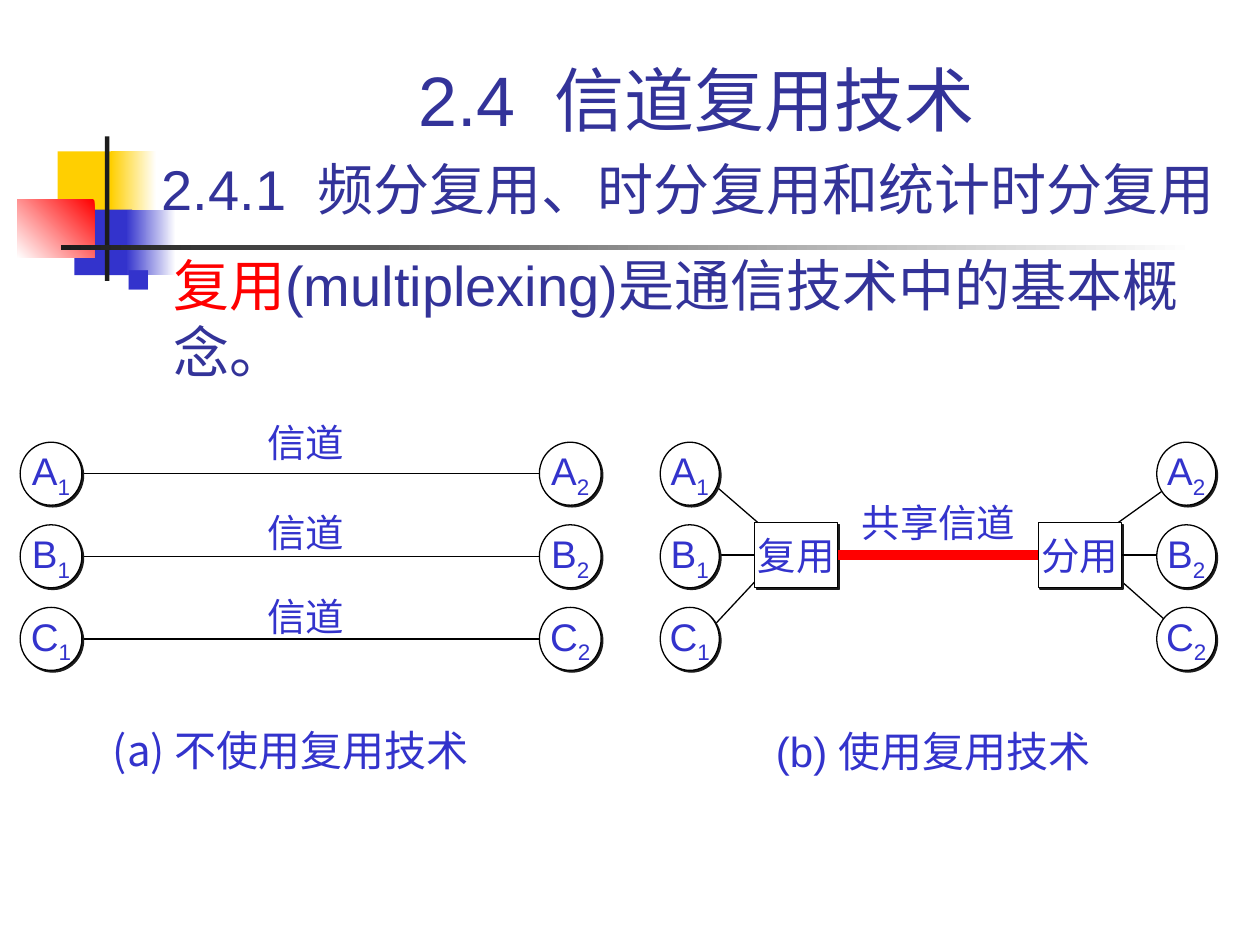
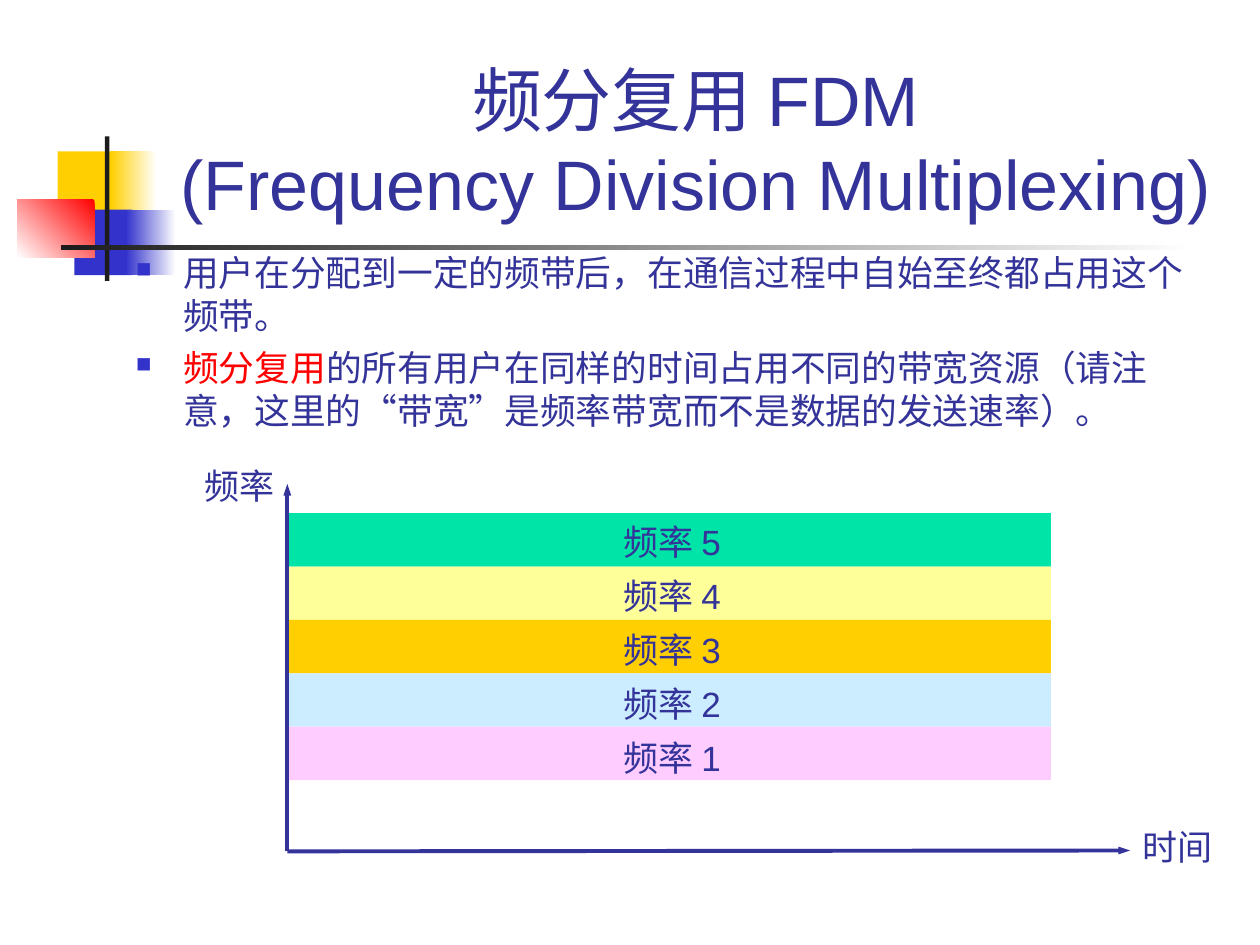
from lxml import etree
from pptx import Presentation
from pptx.dml.color import RGBColor
from pptx.enum.shapes import MSO_CONNECTOR, MSO_SHAPE
from pptx.enum.text import MSO_ANCHOR, MSO_AUTO_SIZE, PP_ALIGN
from pptx.oxml.ns import qn
from pptx.util import Pt

RECT, OVAL = MSO_SHAPE.RECTANGLE, MSO_SHAPE.OVAL
STRAIGHT = MSO_CONNECTOR.STRAIGHT
CENTER = PP_ALIGN.CENTER
MIDDLE, BOTTOM = MSO_ANCHOR.MIDDLE, MSO_ANCHOR.BOTTOM
NO_FIT, GROW = MSO_AUTO_SIZE.NONE, MSO_AUTO_SIZE.SHAPE_TO_FIT_TEXT
LEFT, RIGHT = 1, 3

WHITE = RGBColor(0xFF, 0xFF, 0xFF)
BLACK = RGBColor(0x00, 0x00, 0x00)
DARK = RGBColor(0x1C, 0x1C, 0x1C)
RED = RGBColor(0xFF, 0x00, 0x00)
GOLD = RGBColor(0xFF, 0xCF, 0x01)
BLUE = RGBColor(0x33, 0x33, 0xCC)
NAVY = RGBColor(0x33, 0x33, 0x99)
GREEN = RGBColor(0x00, 0xE4, 0xA8)
YELLOW = RGBColor(0xFF, 0xFF, 0x99)
SKY = RGBColor(0xCC, 0xEC, 0xFF)
PINK = RGBColor(0xFF, 0xCC, 0xFF)

ARIAL, CJK, TIMES = "Arial", "Noto Sans CJK SC", "Times New Roman"
LINE_HEIGHT = 1.2


def pts(*values):
    return [Pt(v) for v in values]


def set_attrs(obj, values):
    for name, value in values.items():
        setattr(obj, name, value)


def sub(parent, tag, **attrs):
    return etree.SubElement(parent, qn(tag), attrs)


def add_run(p, text, size, color, font=ARIAL, **attrs):
    r = p.add_run()
    r.text = text
    set_attrs(r.font, {"size": Pt(size), "name": font})
    r.font.color.rgb = color
    rPr = r._r.get_or_add_rPr()
    sub(rPr, "a:ea", typeface=CJK)
    for name, value in attrs.items():
        rPr.set(name, value)


def add_label(s, left, top, width, height, text, size, color, font=ARIAL, spacing=1):
    tf = s.shapes.add_textbox(*pts(left, top, width, height)).text_frame
    set_attrs(tf, {"word_wrap": False, "auto_size": GROW})
    p = tf.paragraphs[0]
    p.line_spacing = Pt(round(size * LINE_HEIGHT * spacing, 1))
    add_run(p, text, size, color, font)


def add_block(s, shape, box, color, fade_to=None, angle=180):
    sp = s.shapes.add_shape(shape, *pts(*box))
    sp.shadow.inherit = False
    sp.line.fill.background()
    if fade_to is None:
        sp.fill.solid()
        sp.fill.fore_color.rgb = color
    else:
        sp.fill.gradient()
        sp.fill.gradient_angle = angle
        for stop, stop_color in zip(sp.fill.gradient_stops, (color, fade_to)):
            stop.color.rgb = stop_color
    return sp


def add_line(s, start, end, color=BLACK, width=0.75, arrow=False):
    line = s.shapes.add_connector(STRAIGHT, *pts(*start, *end))
    line.line.color.rgb = color
    line.line.width = Pt(width)
    if arrow:
        sub(line.line._get_or_add_ln(), "a:tailEnd", type="triangle", w="sm", len="med")
    sub(line._element.spPr, "a:effectLst")
    return line


def add_node(s, shape, box, text, index=None):
    sp = add_block(s, shape, box, WHITE)
    sp.line.color.rgb = BLACK
    sp.line.width = Pt(0.75)
    effects = sp._element.spPr.find(qn("a:effectLst"))
    shadow = sub(effects, "a:outerShdw", blurRad="0", dist="17780", dir="2700000",
                 algn="ctr", rotWithShape="0")
    sub(shadow, "a:srgbClr", val=str(DARK))
    tf = sp.text_frame
    set_attrs(tf, {"word_wrap": False, "vertical_anchor": MIDDLE})
    p = tf.paragraphs[0]
    p.alignment = CENTER
    add_run(p, text, 22, BLUE)
    if index:
        add_run(p, index, 22, BLUE, baseline="-25000")
    return sp


def add_decoration(s, left, top):
    parts = [
        ((23, 8.5, 34.5, 37.5), GOLD, None, 180),
        ((53.3, 8.5, 26, 37.5), WHITE, GOLD, 180),
        ((32.5, 41.8, 33, 37.5), BLUE, None, 180),
        ((62, 41.8, 28.5, 37.5), WHITE, BLUE, 180),
        ((0, 36, 44, 33.3), RED, WHITE, 225),
        ((50, 0, 2.5, 82.5), DARK, None, 180),
        ((25, 62.3, 648, 2.5), WHITE, DARK, 180),
    ]
    for (x, y, w, h), color, fade_to, angle in parts:
        add_block(s, RECT, (left + x, top + y, w, h), color, fade_to, angle)


def add_title(s, box, lines):
    title = s.shapes.title
    s.shapes.element.append(title.element)
    set_attrs(title, dict(zip(("left", "top", "width", "height"), pts(*box))))
    tf = title.text_frame
    set_attrs(tf, {"word_wrap": True, "auto_size": NO_FIT, "vertical_anchor": BOTTOM})
    p = tf.paragraphs[0]
    set_attrs(p, {"alignment": CENTER, "line_spacing": Pt(40 * LINE_HEIGHT)})
    for i, runs in enumerate(lines):
        if i:
            p.add_line_break()
        for text, size, attrs in runs:
            add_run(p, text, size, NAVY, **attrs)


def add_body(s, box, size, space_before, paragraphs):
    tf = s.shapes.add_textbox(*pts(*box)).text_frame
    tf.word_wrap = True
    for i, runs in enumerate(paragraphs):
        p = tf.add_paragraph() if i else tf.paragraphs[0]
        pPr = p._p.get_or_add_pPr()
        pPr.set("marL", str(Pt(27)))
        pPr.set("indent", str(Pt(-27)))
        pPr.set("hangingPunct", "0")
        sub(sub(pPr, "a:buClr"), "a:srgbClr", val=str(BLUE))
        sub(pPr, "a:buSzPct", val="60000")
        sub(pPr, "a:buChar", char="■")
        set_attrs(p, {"line_spacing": Pt(round(size * LINE_HEIGHT, 1)),
                      "space_before": Pt(space_before if i else 0)})
        for text, color in runs:
            add_run(p, text, size, color)


def add_stations(s, box, node_width):
    left, top, width, height = box
    pitch = (height - 36) / 2
    for side, x in (("1", left), ("2", left + width - node_width)):
        for row, name in enumerate("ABC"):
            add_node(s, OVAL, (x, top + row * pitch, node_width, 36), name, side)


def add_separate_channels(s, box):
    left, top, width, height = box
    pitch = (height - 36) / 2
    for row, rise in enumerate((34.6, 30.7, 29.6)):
        y = top + 18 + row * pitch
        add_line(s, (left + 35, y), (left + width - 35, y))
        add_label(s, left + 134, y - rise, 62, 33.8, "信道", 22, BLUE, CJK)
    add_stations(s, box, 35.3)
    add_label(s, left + 46, top + 157.7, 232, 36, "(a) 不使用复用技术", 24, BLUE, CJK)


def add_shared_channel(s, box):
    left, top, width, height = box
    right, middle = left + width, top + height / 2 - 0.7
    for outer, inner in ((-43.5, -14.5), (44.2, 8.3)):
        add_line(s, (left + 27, middle + outer), (left + 60.5, middle + inner))
        add_line(s, (right - 21, middle + outer), (right - 61.5, middle + inner))
    mux = add_node(s, RECT, (left + 54, middle - 18.4, 47.5, 36.8), "复用")
    demux = add_node(s, RECT, (right - 101.5, middle - 18.4, 47.5, 36.8), "分用")
    add_line(s, (left + 33, middle), (left + 54, middle)).end_connect(mux, LEFT)
    add_line(s, (right - 33, middle), (right - 54, middle)).end_connect(demux, RIGHT)
    link = add_line(s, (left + 101.5, middle), (right - 101.5, middle), RED, 6)
    link.begin_connect(mux, RIGHT)
    link.end_connect(demux, LEFT)
    add_stations(s, box, 33.8)
    add_label(s, left + 108, top + 28.8, 106, 33.8, "共享信道", 22, BLUE)
    add_label(s, left + 59, top + 158.4, 206, 36, "(b) 使用复用技术", 24, BLUE)


def add_frequency_diagram(s, box):
    left, top, width, height = box
    bottom = top + height
    band_height = 30.5
    axis = {"color": NAVY, "width": 2.25, "arrow": True}
    add_line(s, (left, bottom), (left + width, bottom - 0.5), **axis)
    for x, y, text in ((left - 54.7, top - 12.2, "频率"),
                       (left + width, bottom - 16, "时间")):
        add_label(s, x, y, 60, 28.8, text, 20, NAVY, TIMES, 0.9)
    for i, color in enumerate((GREEN, YELLOW, GOLD, SKY, PINK)):
        y = top + 16.8 + i * band_height
        add_block(s, RECT, (left, y, 436.3, band_height), color)
        add_label(s, left + 185, y + 3.2 + i * 0.3, 80, 28.8,
                  f"频率 {5 - i}", 20, NAVY, spacing=0.9)
    add_line(s, (left, bottom), (left, top), **axis)


def add_base_slide(prs):
    s = prs.slides.add_slide(prs.slide_layouts[5])
    add_decoration(s, 10, 78)
    return s


def build_multiplexing(prs):
    s = add_base_slide(prs)
    add_title(s, (67, 16.5, 661.7, 115.2), [
        [("2.4", 40, {}), (" ", 40, {"spc": "1100"}), ("信道复用技术", 40, {})],
        [("2.4.1", 32, {}), (" ", 32, {"spc": "900"}),
         ("频分复用、时分复用和统计时分复用", 32, {}), (" ", 40, {})],
    ])
    add_body(s, (64.8, 139.7, 629.3, 324), 32, 8, [
        [("复用", RED), ("(multiplexing)是通信技术中的基本概念。", NAVY)],
    ])
    add_separate_channels(s, (11.5, 252.7, 332, 130.4))
    add_shared_channel(s, (377.3, 252.7, 317.5, 130.4))


def build_fdm(prs):
    s = add_base_slide(prs)
    add_title(s, (90.7, 16.5, 613.4, 115.2), [
        [("频分复用 FDM", 40, {})],
        [("(Frequency Division Multiplexing)", 40, {})],
    ])
    add_body(s, (70.6, 139.7, 623.5, 141.8), 20.4, 5.5, [
        [("用户在分配到一定的频带后，在通信过程中自始至终都占用这个频带。", NAVY)],
        [("频分复用", RED),
         ("的所有用户在同样的时间占用不同的带宽资源（请注意，这里的“带宽”是频率带宽而不是数据的发送速率）。", NAVY)],
    ])
    add_frequency_diagram(s, (164.2, 276.5, 481.6, 210))


def main():
    prs = Presentation()
    set_attrs(prs, {"slide_width": Pt(720), "slide_height": Pt(540)})
    build_multiplexing(prs)
    build_fdm(prs)
    prs.save("out.pptx")


if __name__ == "__main__":
    main()
